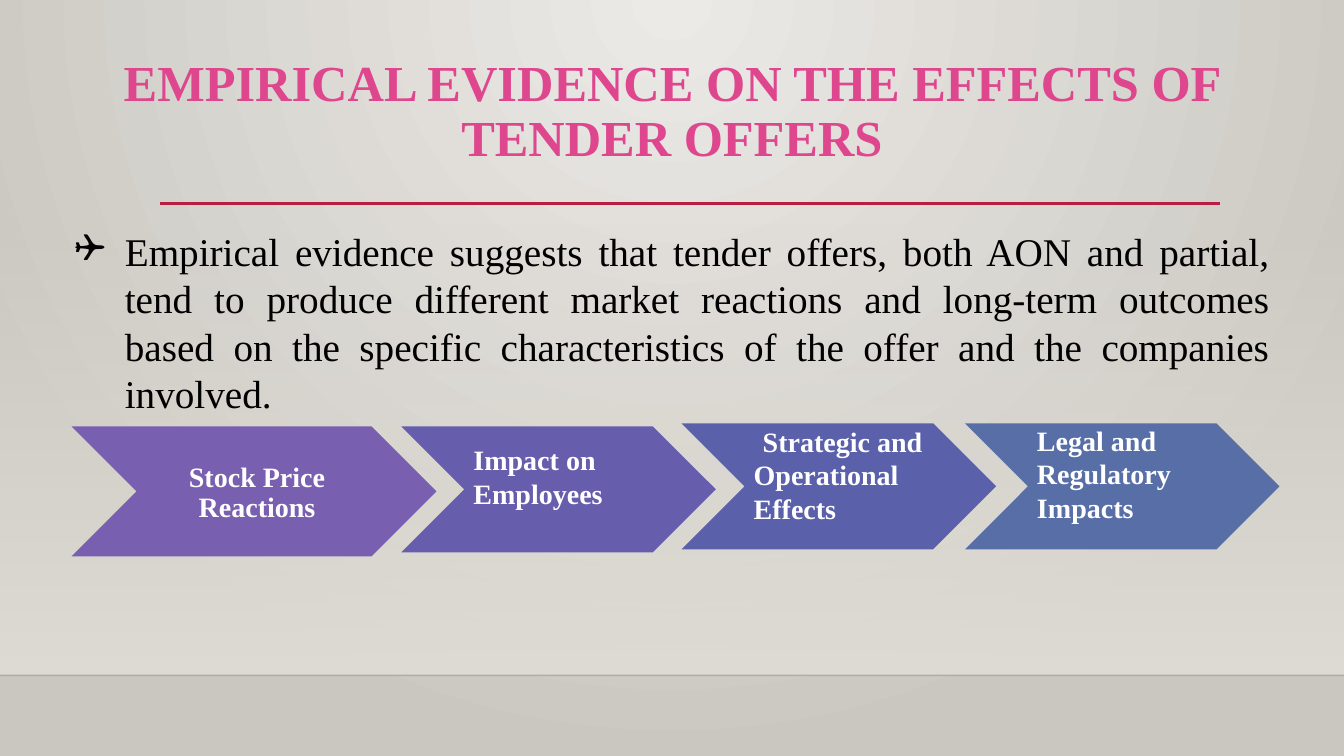
from dataclasses import dataclass

from lxml import etree
from pptx import Presentation
from pptx.dml.color import RGBColor
from pptx.enum.shapes import MSO_CONNECTOR, MSO_SHAPE
from pptx.enum.text import MSO_ANCHOR, PP_ALIGN
from pptx.oxml import parse_xml
from pptx.oxml.ns import nsdecls, qn
from pptx.util import Inches, Pt

CHEVRON, RECTANGLE = MSO_SHAPE.CHEVRON, MSO_SHAPE.RECTANGLE
STRAIGHT = MSO_CONNECTOR.STRAIGHT
TOP, MIDDLE = MSO_ANCHOR.TOP, MSO_ANCHOR.MIDDLE
LEFT, CENTER, JUSTIFY = PP_ALIGN.LEFT, PP_ALIGN.CENTER, PP_ALIGN.JUSTIFY


@dataclass(frozen=True)
class Theme:
    """Colours, font and type sizes of the slide."""
    font: str = "Times New Roman"
    title: str = "DE478E"
    body: str = "000000"
    label: str = "FFFFFF"
    rule: str = "B71E42"
    floor_line: str = "000001"
    floor: str = "DFDBD5"
    glow: str = "ECEAE7"
    edge: str = "CAC7C1"
    title_size: int = 36
    body_size: int = 28
    label_size: int = 20


THEME = Theme()
WIDTH, HEIGHT = 13.33, 7.5

TITLE = "EMPIRICAL EVIDENCE ON THE EFFECTS OF TENDER OFFERS"
BODY = (
    "Empirical evidence suggests that tender offers, both AON and partial, "
    "tend to produce different market reactions and long-term outcomes based "
    "on the specific characteristics of the offer and the companies involved."
)
STEPS = [
    ("Stock Price Reactions", "795FAF", (0.71, 4.23, 3.62, 1.29), CENTER, MIDDLE, 0.04, 0),
    ("Impact on Employees", "665DAC", (3.98, 4.23, 3.12, 1.25), LEFT, TOP, 0.16, 0),
    ("Strategic and Operational Effects", "5A60A9", (6.76, 4.2, 3.12, 1.25), LEFT, TOP, 0.01, 0.09),
    ("Legal and Regulatory Impacts", "586EA6", (9.57, 4.2, 3.12, 1.25), LEFT, TOP, 0, 0),
]


def gradient(first, last, direction):
    """Return a two-stop gradient fill element."""
    return parse_xml(
        f'<a:gradFill {nsdecls("a")} rotWithShape="1"><a:gsLst>'
        f'<a:gs pos="0">{first}</a:gs><a:gs pos="100000">{last}</a:gs>'
        f'</a:gsLst>{direction}</a:gradFill>'
    )


def colour(value, alpha=100):
    """Return the XML of a colour with an opacity in percent."""
    return f'<a:srgbClr val="{value}"><a:alpha val="{alpha * 1000}"/></a:srgbClr>'


def replace_gradient(properties, fill):
    """Put a gradient in place of the one in the properties."""
    properties.replace(properties.find(qn("a:gradFill")), fill)


def write(text_frame, text, size, color, alignment, bold=True, spacing=1.0):
    """Set one styled paragraph and return it."""
    text_frame.word_wrap = True
    text_frame.text = text
    paragraph = text_frame.paragraphs[0]
    paragraph.alignment = alignment
    paragraph.line_spacing = spacing
    font = paragraph.runs[0].font
    font.name, font.size, font.bold = THEME.font, Pt(size), bold
    font.color.rgb = RGBColor.from_string(color)
    return paragraph


def indent(paragraph, margin, first_line):
    """Set the left margin and the first-line indent of a paragraph."""
    properties = paragraph._p.get_or_add_pPr()
    properties.set("marL", str(Inches(margin)))
    properties.set("indent", str(Inches(first_line)))
    return properties


def add_line(slide, left, top, length, color, width, alpha=100):
    """Draw a horizontal line."""
    line = slide.shapes.add_connector(
        STRAIGHT, Inches(left), Inches(top), Inches(left + length), Inches(top))
    line.line.width = Pt(width)
    line.line.color.rgb = RGBColor.from_string(color)
    value = line.line._ln.find(".//" + qn("a:srgbClr"))
    etree.SubElement(value, qn("a:alpha"), val=str(alpha * 1000))
    etree.SubElement(line._element.spPr, qn("a:effectLst"))


def add_backdrop(slide):
    """Draw the radial background, the wall and the floor line."""
    fill = slide.background.fill
    fill.gradient()
    circle = '<a:path path="circle"><a:fillToRect l="43000" r="43000" b="100000"/></a:path>'
    replace_gradient(slide.background._cSld.bg.bgPr,
                     gradient(colour(THEME.glow), colour(THEME.edge), circle))
    wall_top, floor_top = 2.21, 6.7
    wall = slide.shapes.add_shape(
        RECTANGLE, 0, Inches(wall_top), Inches(WIDTH), Inches(floor_top - wall_top))
    wall.shadow.inherit = False
    wall.line.fill.background()
    wall.fill.gradient()
    replace_gradient(wall._element.spPr, gradient(
        colour(THEME.floor, 0), colour(THEME.floor), '<a:lin ang="5400000" scaled="0"/>'))
    add_line(slide, 0, floor_top, WIDTH, THEME.floor_line, 1, 20)


def add_title(slide, box):
    """Write the title and draw the rule below it."""
    left, top, width, height = box
    title = slide.shapes.add_textbox(*map(Inches, box))
    write(title.text_frame, TITLE, THEME.title_size, THEME.title, CENTER, spacing=0.9)
    add_line(slide, left + 0.95, top + height + 0.09, width - 1.54, THEME.rule, 2.5)


def add_body(slide, box):
    """Write the bulleted paragraph."""
    body = slide.shapes.add_textbox(*map(Inches, box))
    paragraph = write(body.text_frame, BODY, THEME.body_size, THEME.body, JUSTIFY, bold=False)
    properties = indent(paragraph, 0.5, -0.5)
    etree.SubElement(properties, qn("a:buFont"), typeface="Wingdings")
    etree.SubElement(properties, qn("a:buChar"), char="❑")


def add_step(slide, text, color, box, alignment, anchor, inset, first_line):
    """Draw one labelled chevron."""
    step = slide.shapes.add_shape(CHEVRON, *map(Inches, box))
    step.shadow.inherit = False
    step.fill.solid()
    step.fill.fore_color.rgb = RGBColor.from_string(color)
    step.line.fill.background()
    frame = step.text_frame
    frame.vertical_anchor = anchor
    frame.margin_left, frame.margin_right = Inches(0.09), Inches(0.03)
    frame.margin_top, frame.margin_bottom = Inches(inset), 0
    spacing = 0.9 if alignment == CENTER else 1.0
    paragraph = write(frame, text, THEME.label_size, THEME.label, alignment, spacing=spacing)
    indent(paragraph, 0, first_line)


def main():
    """Build and save the presentation."""
    presentation = Presentation()
    presentation.slide_width, presentation.slide_height = Inches(WIDTH), Inches(HEIGHT)
    slide = presentation.slides.add_slide(presentation.slide_layouts[6])
    add_backdrop(slide)
    add_title(slide, (0.64, 0.53, 12.05, 1.4))
    add_body(slide, (0.64, 2.21, 12.05, 1.93))
    for step in STEPS:
        add_step(slide, *step)
    presentation.save("out.pptx")


if __name__ == "__main__":
    main()
